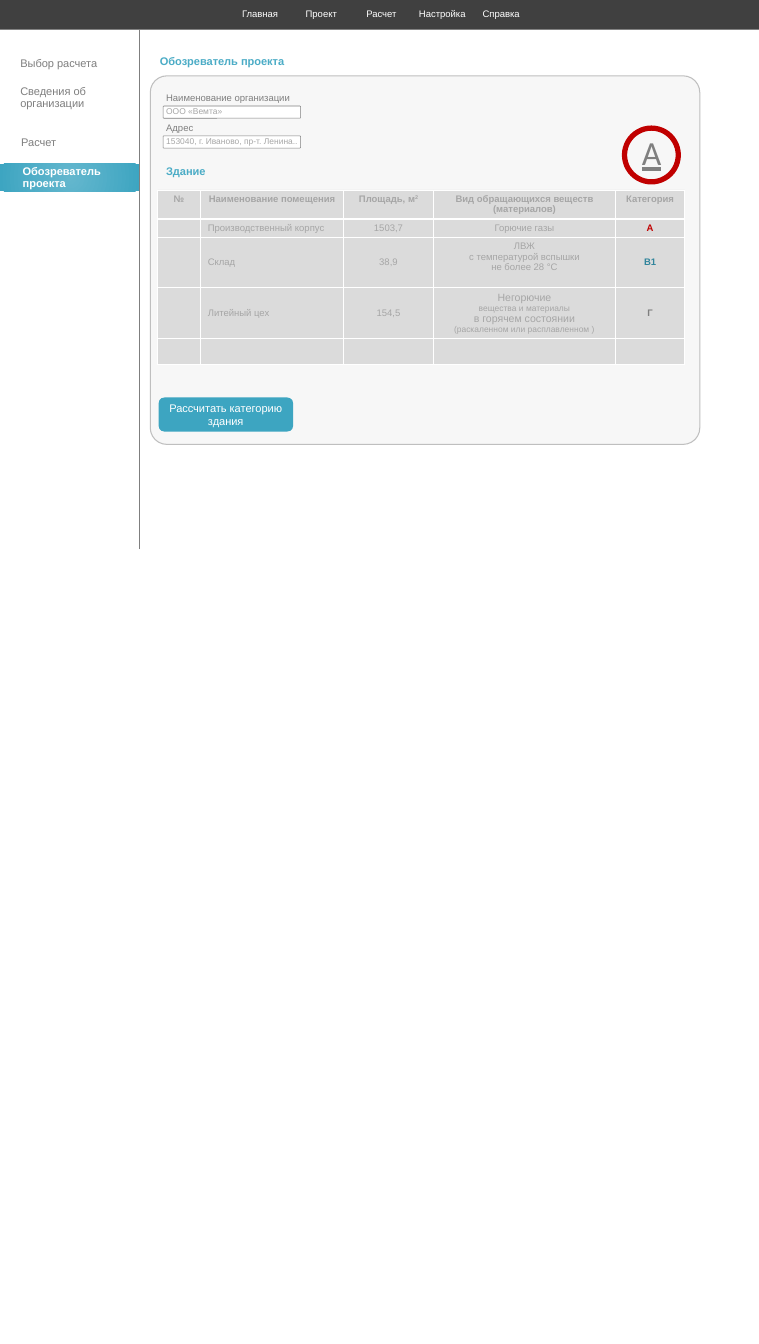
from lxml.etree import SubElement
from pptx import Presentation
from pptx.dml.color import RGBColor
from pptx.enum.shapes import MSO_CONNECTOR, MSO_SHAPE
from pptx.enum.text import MSO_ANCHOR, PP_ALIGN
from pptx.oxml import parse_xml
from pptx.oxml.ns import nsdecls, qn
from pptx.util import Cm, Pt

rgb = RGBColor.from_string
WHITE, GREY, PALE = "FFFFFF", "7F7F7F", "A6A6A6"
TEAL, BUTTON_TEAL, RED = "4BACC6", "3DA5C1", "C00000"

prs = Presentation()
prs.slide_width, prs.slide_height = Cm(25.4), Cm(45)
slide = prs.slides.add_slide(prs.slide_layouts[6])


def add_box(kind, x, y, w, h, fill=None, line=None, width=1, shapes=slide.shapes):
    box = shapes.add_shape(kind, Cm(x), Cm(y), Cm(w), Cm(h))
    box.shadow.inherit = False
    if fill:
        box.fill.solid()
        box.fill.fore_color.rgb = rgb(fill)
    else:
        box.fill.background()
    if line:
        box.line.color.rgb = rgb(line)
        box.line.width = Pt(width)
    else:
        box.line.fill.background()
    return box


def add_text(text, x, y, w, h, size, color, bold=False, wrap=True,
             font="Arial", shapes=slide.shapes):
    frame = shapes.add_textbox(Cm(x), Cm(y), Cm(w), Cm(h)).text_frame
    frame.word_wrap = wrap
    paragraph = frame.paragraphs[0]
    paragraph.text = text
    paragraph.font.name = font
    paragraph.font.size = Pt(size)
    paragraph.font.bold = bold
    paragraph.font.color.rgb = rgb(color)
    return paragraph


# Highlight of the current sidebar entry, lighter in the centre
highlight = add_box(MSO_SHAPE.RECTANGLE, 0, 5.49, 4.67, 0.91)
highlight.fill.gradient()
for stop, color in zip(highlight.fill.gradient_stops, ("64B7CE", BUTTON_TEAL)):
    stop.color.rgb = rgb(color)
gradient = highlight._element.spPr.find(qn("a:gradFill"))
gradient.replace(gradient.find(qn("a:lin")), parse_xml(
    f'<a:path {nsdecls("a")} path="circle">'
    '<a:fillToRect l="50000" t="50000" r="50000" b="50000"/></a:path>'))

# Project panel
panel = add_box(MSO_SHAPE.ROUNDED_RECTANGLE, 5.03, 2.54, 18.39, 12.34, "F2F2F2", "BFBFBF")
panel.adjustments[0] = 0.045
panel_color = panel._element.spPr.find(qn("a:solidFill"))[0]
SubElement(panel_color, qn("a:alpha")).set("val", "55000")

# Table of rooms: each cell is a list of (text, size) lines
header = ["№", "Наименование помещения", "Площадь, м",
          "Вид обращающихся веществ (материалов)", "Категория"]
rooms = [
    ["", "Производственный корпус", "1503,7", [("Горючие газы", 9)], "А"],
    ["", "Склад", "38,9",
     [("ЛВЖ", 9), ("с температурой вспышки", 9), ("не более 28 °С", 9)], "В1"],
    ["", "Литейный цех", "154,5",
     [("Негорючие", 10), ("вещества и материалы", 8), ("в горячем состоянии", 10),
      ("(раскаленном или расплавленном )", 8)], "Г"],
    [""] * 5,
]
category_colors = {"А": RED, "В1": "31859C", "Г": GREY}
column_widths = [1.42, 4.8, 3, 6.1, 2.31]
row_heights = [0.97, 0.61, 1.68, 1.68, 0.87]
table = slide.shapes.add_table(5, 5, Cm(5.28), Cm(6.36),
                               Cm(sum(column_widths)), Cm(sum(row_heights))).table
table.first_row = table.horz_banding = False
for column, width in zip(table.columns, column_widths):
    column.width = Cm(width)
for row, height in zip(table.rows, row_heights):
    row.height = Cm(height)

for r, values in enumerate([header] + rooms):
    for c, value in enumerate(values):
        cell = table.cell(r, c)
        cell.vertical_anchor = MSO_ANCHOR.MIDDLE if r else MSO_ANCHOR.TOP
        lines = value if isinstance(value, list) else [(value, 9)]
        cell.text = "\n".join(text for text, _ in lines)
        for paragraph, (text, size) in zip(cell.text_frame.paragraphs, lines):
            is_category = r > 0 and c == 4
            paragraph.alignment = PP_ALIGN.LEFT if r and c == 1 else PP_ALIGN.CENTER
            paragraph.font.name = "Arial"
            paragraph.font.size = Pt(size)
            paragraph.font.bold = r == 0 or is_category
            color = category_colors.get(text, PALE) if is_category else PALE
            paragraph.font.color.rgb = rgb(color)
            if not text:
                paragraph._p.get_or_add_endParaRPr().set("sz", "900")
        cell.fill.solid()
        cell.fill.fore_color.rgb = rgb("D9D9D9")
        properties = cell._tc.get_or_add_tcPr()
        SubElement(properties.find(qn("a:solidFill"))[0], qn("a:alpha")).set("val", "92000")
        for i, side in enumerate("LRTB"):
            thick = (r == 0 and side == "B") or (r == 1 and side == "T")
            properties.insert(i, parse_xml(
                f'<a:ln{side} {nsdecls("a")} w="{Pt(3 if thick else 1)}"><a:solidFill>'
                f'<a:srgbClr val="{WHITE}"/></a:solidFill></a:ln{side}>'))

square = table.cell(0, 2).text_frame.paragraphs[0].add_run()
square.text = "2"
square.font._element.set("baseline", "30000")
table.cell(2, 3).margin_bottom = Cm(0.5)

# Top menu
add_box(MSO_SHAPE.RECTANGLE, 0, 0, 25.4, 0.99, "404040")
for label, x, width in [("Главная", 7.85, 1.73), ("Проект", 9.98, 1.6),
                        ("Расчет", 12.01, 1.55), ("Настройка", 13.77, 2.13),
                        ("Справка", 15.9, 1.8)]:
    add_text(label, x, 0.15, width, 0.64, 9, WHITE, wrap=False)

# Sidebar
for label, x, y, height in [("Выбор расчета", 0.43, 1.83, 0.66),
                            ("Сведения об организации", 0.43, 2.77, 1.07),
                            ("Расчет", 0.46, 4.45, 0.66),
                            ("Обозреватель проекта", 0.51, 5.44, 1.07)]:
    current = label == "Обозреватель проекта"
    entry = add_text(label, x, y, 4.39, height, 10.5, WHITE if current else GREY, current)
    entry.line_spacing = 0.9

divider = slide.shapes.add_connector(MSO_CONNECTOR.STRAIGHT,
                                     Cm(4.67), Cm(18.39), Cm(4.67), Cm(0.99))
divider.line.color.rgb = rgb(GREY)
divider.line.width = Pt(0.75)
SubElement(divider._element.spPr, qn("a:effectLst"))

# Headings
add_text("Обозреватель проекта", 5.1, 1.7, 12.19, 0.71, 10.5, TEAL, True)
add_text("Здание", 5.31, 5.38, 12.19, 0.71, 10.5, TEAL, True)

# Organisation fields
for label, value, y in [("Наименование организации", "ООО «Вемта»", 2.95),
                        ("Адрес", "153040, г. Иваново, пр-т. Ленина..", 3.95)]:
    field = add_box(MSO_SHAPE.ROUNDED_RECTANGLE, 5.46, y + 0.6, 4.6, 0.41, WHITE, GREY, 0.5)
    field.adjustments[0] = 0.074
    add_text(label, 5.31, y, 4.72, 0.64, 9, GREY, wrap=False)
    add_text(value, 5.31, y + 0.49, 5.21, 0.61, 8, PALE)

# Button
add_box(MSO_SHAPE.ROUNDED_RECTANGLE, 5.31, 13.31, 4.5, 1.14, BUTTON_TEAL)
caption = add_text("Рассчитать категорию здания", 5.36, 13.31, 4.39, 1.14, 10.5, WHITE)
caption.alignment = PP_ALIGN.CENTER

# Category badge
badge = slide.shapes.add_group_shape().shapes
add_box(MSO_SHAPE.OVAL, 20.9, 4.29, 1.8, 1.8, line=RED, width=5, shapes=badge)
letter = add_text("А", 21.23, 4.29, 1.17, 1.63, 32, "808080", wrap=False,
                  font="Calibri", shapes=badge)
letter.font.underline = True

prs.save("out.pptx")
